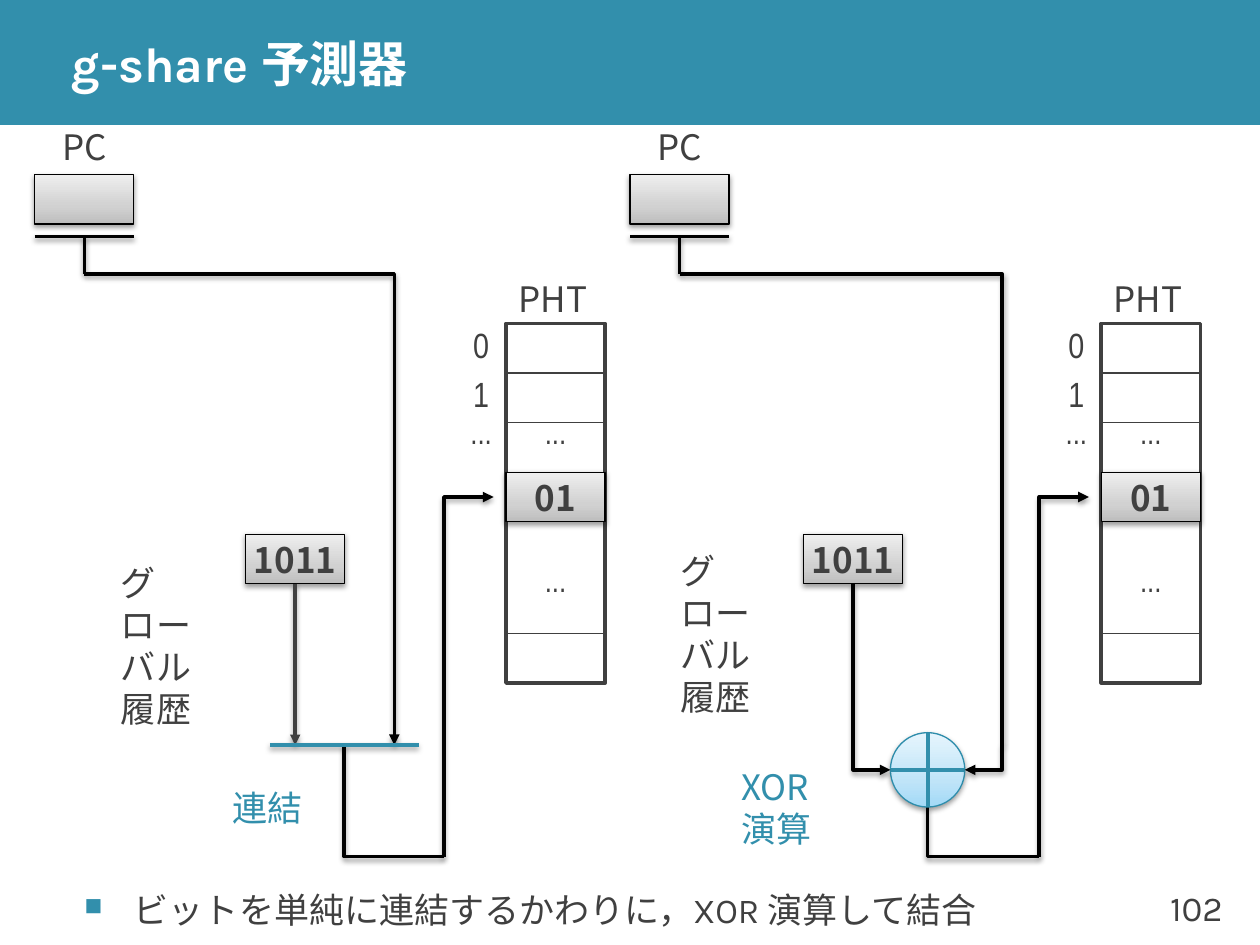
from pptx import Presentation, util as u
from pptx.dml.color import RGBColor
from pptx.enum import shapes, text
from pptx.oxml import parse_xml
from pptx.oxml.ns import nsdecls

THEME = dict(
    teal="328FAC", rim="2E8DAB", dark="404040", black="000000", white="FFFFFF",
    gray=("BDBDBD", "D1D1D1", "EEEEEE"), sky=("A2D9F7", "BFE4F8", "E6F5FD"),
    body="Karla", sans="Noto Sans CJK JP", thin="Arial Narrow",
    big=28, mid=20, dots=18)

TITLE = "g-share 予測器"
POINT = "ビットを単純に連結するかわりに，XOR 演算して結合"
PAGE = "102"
# All lengths are in cm.
LEFT = dict(dx=0, ghr=4.95, label=(2.19, 12.52), op="連結", spot=4.44)
RIGHT = dict(dx=12, ghr=16.2, label=(13.46, 12.27), op="XOR 演算", spot=14.7)
INDEX = [("0", 6.52), ("1", 7.52), ("...", 8.27)]
GAPS = [8.27, 11.27]
ROWS = [6.52, 7.52, 12.77]
CELL = (2, 1)
BASE = 17.27

deck = Presentation()
deck.slide_width, deck.slide_height = u.Cm(25.4), u.Cm(19.05)
slide = deck.slides.add_slide(deck.slide_layouts[6])
pool = slide.shapes


def rgb(name):
    return RGBColor.from_string(THEME[name])


def xml(tag, inner="", attrs=""):
    return parse_xml(f'<a:{tag} {nsdecls("a")} {attrs}>{inner}</a:{tag}>')


def finish(item, shade):
    """Give the item its own effect list, with a soft drop shadow if wanted."""
    glow = ('<a:outerShdw blurRad="39370" dist="20320" dir="5400000" rotWithShape="0">'
            '<a:srgbClr val="000000"><a:alpha val="38000"/></a:srgbClr></a:outerShdw>')
    item._element.spPr.append(xml("effectLst", glow if shade else ""))


def write(item, words, size="mid", font="sans", color="dark", bold=False,
          align="CENTER", wrap=False, pad=0.13, lead=None):
    frame = item.text_frame
    frame.text = words
    frame.word_wrap = wrap
    frame.vertical_anchor = text.MSO_ANCHOR.MIDDLE
    frame.margin_top = frame.margin_bottom = u.Cm(pad)
    for para in frame.paragraphs:
        para.alignment = getattr(text.PP_ALIGN, align)
        if lead:
            para.line_spacing = lead
        for run in para.runs:
            face = run.font
            face.name, face.size, face.bold = THEME[font], u.Pt(THEME[size]), bold
            face.color.rgb = rgb(color)
            run._r.get_or_add_rPr().find("{*}latin").addnext(
                xml("ea", attrs=f'typeface="{THEME["sans"]}"'))
    return frame


def label(words, x, y, w=2, h=1, **form):
    return write(pool.add_textbox(u.Cm(x), u.Cm(y), u.Cm(w), u.Cm(h)), words, **form)


def box(x, y, w, h, fill=None, line=None, width=0.75, kind="RECTANGLE", shade=False):
    item = pool.add_shape(getattr(shapes.MSO_SHAPE, kind),
                          u.Cm(x), u.Cm(y), u.Cm(w), u.Cm(h))
    if fill is None:
        item.fill.background()
    elif isinstance(THEME[fill], tuple):
        item.fill.background()
        stops = "".join(f'<a:gs pos="{pos}"><a:srgbClr val="{tone}"/></a:gs>'
                        for pos, tone in zip((0, 35000, 100000), THEME[fill]))
        old = item._element.spPr.find("{*}noFill")
        old.getparent().replace(old, xml(
            "gradFill", f'<a:gsLst>{stops}</a:gsLst><a:lin ang="16200000" scaled="0"/>',
            'rotWithShape="1"'))
    else:
        item.fill.solid()
        item.fill.fore_color.rgb = rgb(fill)
    if line:
        item.line.color.rgb, item.line.width = rgb(line), u.Pt(width)
    else:
        item.line.fill.background()
    finish(item, shade)
    return item


def wire(*dots, color="black", width=2, arrow=False, shade=True):
    """Join the dots; the arrowhead sits at the last one."""
    pts = [(u.Cm(x), u.Cm(y)) for x, y in dots]
    if len(pts) == 2:
        item = pool.add_connector(shapes.MSO_CONNECTOR.STRAIGHT, *pts[0], *pts[1])
    else:
        path = pool.build_freeform(*pts[0], scale=1.0)
        path.add_line_segments(pts[1:], close=False)
        item = path.convert_to_shape()
        item.fill.background()
    item.line.color.rgb, item.line.width = rgb(color), u.Pt(width)
    if arrow:
        item.line._get_or_add_ln().append(xml("tailEnd", attrs='type="triangle"'))
    finish(item, shade)


def chip(x, y, words=""):
    item = box(x, y, *CELL, fill="gray", line="black", shade=True)
    if words:
        write(item, words, bold=True)


def table(dx):
    x = 10.2 + dx
    box(x, 6.52, 2, 7.25, fill="white", line="dark", width=2)
    chip(x, 9.52, "01")
    for y in ROWS:
        box(x, y, *CELL, line="dark", width=0.5)
    marks = [(word, 9.2 + dx, y) for word, y in INDEX]
    marks += [("...", x + 0.5, y) for y in GAPS]
    for word, left, y in marks:
        label(word, left, y, 1, font="thin", lead=0.8,
              size="dots" if word == "..." else "mid")
    label("PHT", x, 5.52, align="LEFT")


def panel(dx, ghr, label_at, op, spot):
    """Draw the parts that both predictors share."""
    x = 0.7 + dx
    label("PC", x + 0.25, 2.52, 1.5, 0.87)
    chip(x, 3.52)
    chip(ghr, 10.77, "1011")
    label("グローバル\n履歴", *label_at, align="LEFT")
    wire((x, 4.77), (x + 2, 4.77))
    wire((x + 1, 4.77), (x + 1, 5.52))
    table(dx)
    label(op, spot, 15.77, color="teal", align="LEFT")


def feed(dx, x, y):
    """Lead the combined index from its source to the table."""
    turn = 8.95 + dx
    wire((x, y), (x, BASE), (turn, BASE))
    wire((turn, BASE), (turn, 10.02), (turn + 1, 10.02), arrow=True)


def join():
    mid = LEFT["ghr"] + 1
    wire((mid, 11.77), (mid, 15.02), color="dark", arrow=True)
    wire((1.7, 5.52), (7.95, 5.52), (7.95, 15.02), arrow=True)
    feed(0, 6.94, 15.02)
    wire((5.44, 15.02), (8.44, 15.02), color="teal")


def xor():
    x, y, r = 18.7, 15.52, 0.75
    mid, side = RIGHT["ghr"] + 1, 20.2
    wire((13.7, 5.52), (side, 5.52), (side, 15.02))
    feed(12, x, y + r)
    box(x - r, y - r, 2 * r, 2 * r, fill="sky", line="rim", kind="OVAL", shade=True)
    for dots in (((x - r, y), (x + r, y)), ((x, y - r), (x, y + r))):
        wire(*dots, color="teal", width=2.25, shade=False)
    wire((mid, 11.77), (mid, y), (x - r, y), arrow=True)
    wire((side, 15.02), (side, y), (x + r, y), arrow=True)


box(0, 0, 25.4, 2.52, fill="teal")
label(PAGE, 23.2, 17.53, 1.7, 1.52, font="body", align="RIGHT")
label(TITLE, 1.2, 0, 24.2, 2.52, size="big", font="body", color="white",
      bold=True, align="LEFT", wrap=True, pad=0)
para = label(POINT, 1.45, 17.55, 23, 1.5, font="body", align="LEFT",
             wrap=True, lead=1.1).paragraphs[0]
para.space_before, para.space_after = u.Pt(24), u.Pt(6)
props = para._p.get_or_add_pPr()
props.set("marL", str(u.Cm(1)))
props.set("indent", str(u.Cm(-1)))
props.append(xml("buClr", f'<a:srgbClr val="{THEME["teal"]}"/>'))
props.append(xml("buSzPct", attrs='val="70000"'))
props.append(xml("buChar", attrs='char="■"'))

for side, link in ((LEFT, join), (RIGHT, xor)):
    panel(side["dx"], side["ghr"], side["label"], side["op"], side["spot"])
    link()

deck.save("out.pptx")
